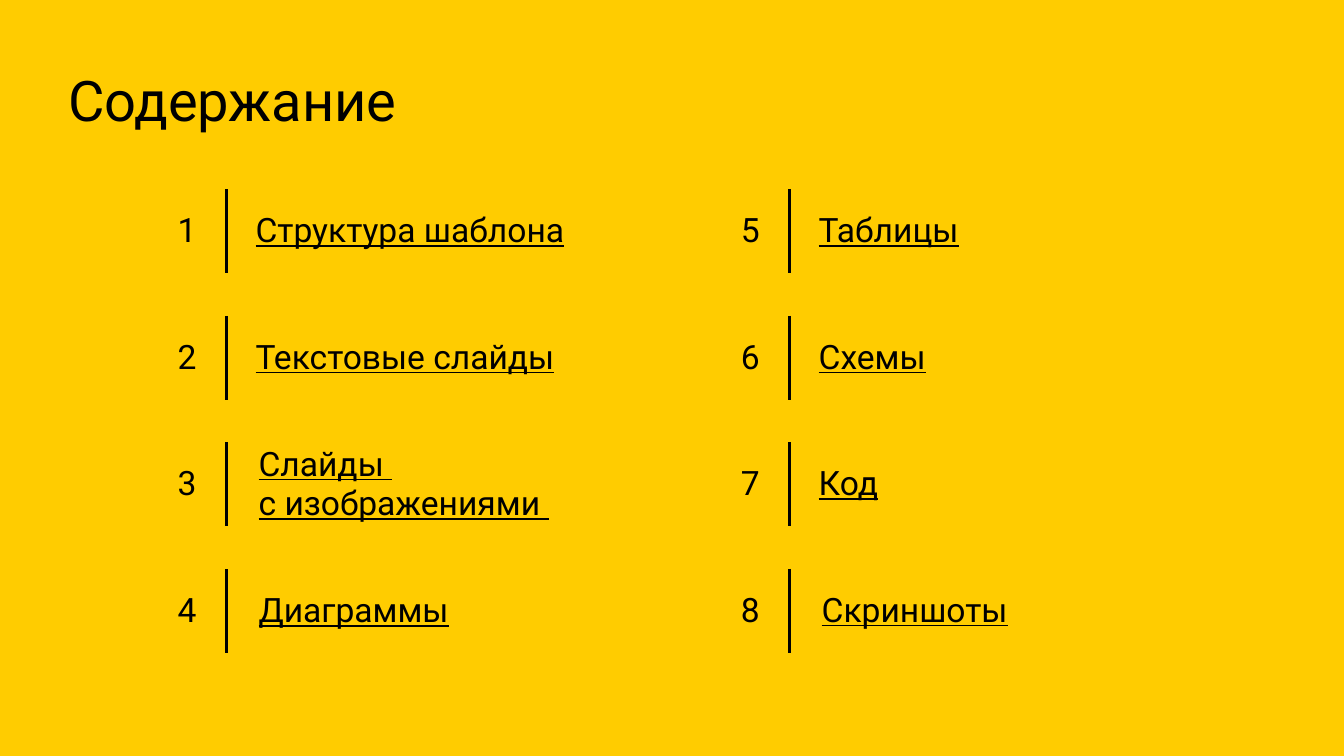
from pptx import Presentation
from pptx.dml.color import RGBColor
from pptx.enum.shapes import MSO_SHAPE
from pptx.enum.text import MSO_ANCHOR, MSO_AUTO_SIZE, PP_ALIGN
from pptx.oxml import parse_xml
from pptx.oxml.ns import nsdecls, qn
from pptx.util import Inches, Pt

COLORS = {"background": "FFCC00", "text": "000000"}
NO_STYLE_NO_GRID = "{2D5ABB26-0587-4C30-8999-92F81FD0307C}"
ENTRY_HEIGHT, GAP_HEIGHT, LAST_GAP_HEIGHT = 1.66, 0.85, 0.4
COLUMN_WIDTHS = (2.01, 7.95)
TABLE_TOP = 3.76

CONTENTS = [
    (2.48, 1, [
        (["Структура шаблона"], 0.44),
        (["Текстовые слайды"], 0.44),
        (["Слайды ", "с изображениями "], 0.5),
        (["Диаграммы"], 0.5),
    ]),
    (13.65, 5, [
        (["Таблицы"], 0.44),
        (["Схемы"], 0.44),
        (["Код"], 0.44),
        (["Скриншоты"], 0.5),
    ]),
]


class ContentsSlide:
    font_name = "Roboto"
    title_size = 80
    entry_size = 48
    rule_width = 4.5

    def __init__(self, presentation):
        self.presentation = presentation
        self.slide = presentation.slides.add_slide(presentation.slide_layouts[5])

    def color(self, name):
        return RGBColor.from_string(COLORS[name])

    def add_run(self, paragraph, text, size, underline=False):
        run = paragraph.add_run()
        run.text = text
        run.font.name = self.font_name
        run.font.size = Pt(size)
        run.font.underline = underline
        run.font.color.rgb = self.color("text")

    def add_background(self):
        shape = self.slide.shapes.add_shape(
            MSO_SHAPE.RECTANGLE, 0, 0,
            self.presentation.slide_width, self.presentation.slide_height)
        shape.shadow.inherit = False
        shape.fill.solid()
        shape.fill.fore_color.rgb = self.color("background")
        shape.line.fill.background()
        self.slide.shapes.title.element.addprevious(shape.element)

    def add_title(self, text):
        title = self.slide.shapes.title
        title.left, title.top = Inches(1.25), Inches(0.83)
        title.width, title.height = Inches(24.2), Inches(1.65)
        frame = title.text_frame
        frame.auto_size = MSO_AUTO_SIZE.NONE
        frame.vertical_anchor = MSO_ANCHOR.MIDDLE
        paragraph = frame.paragraphs[0]
        paragraph.alignment = PP_ALIGN.LEFT
        paragraph.line_spacing = Pt(140)
        self.add_run(paragraph, text, self.title_size)

    def add_rule(self, cell, side):
        border = parse_xml(
            f'<a:{side} {nsdecls("a")} w="{Pt(self.rule_width)}"><a:solidFill>'
            f'<a:srgbClr val="{COLORS["text"]}"/></a:solidFill></a:{side}>')
        cell._tc.get_or_add_tcPr().insert(0, border)

    def format_cell(self, cell, right_margin, side):
        cell.vertical_anchor = MSO_ANCHOR.MIDDLE
        cell.margin_left, cell.margin_right = Inches(0.14), Inches(right_margin)
        cell.margin_top = cell.margin_bottom = Inches(0.05)
        self.add_rule(cell, side)
        return cell.text_frame.paragraphs[0]

    def add_entry(self, number_cell, name_cell, number, lines, indent):
        paragraph = self.format_cell(number_cell, 0.59, "lnR")
        paragraph.alignment = PP_ALIGN.RIGHT
        self.add_run(paragraph, str(number), self.entry_size)

        paragraph = self.format_cell(name_cell, 0.14, "lnL")
        properties = paragraph._p.get_or_add_pPr()
        properties.set("marL", str(Inches(indent)))
        properties.set("indent", "0")
        for index, line in enumerate(lines):
            if index:
                paragraph.add_line_break()
            self.add_run(paragraph, line, self.entry_size, underline=True)

    def add_contents(self, left, first_number, entries):
        heights = [ENTRY_HEIGHT, GAP_HEIGHT] * len(entries)
        heights[-1] = LAST_GAP_HEIGHT
        frame = self.slide.shapes.add_table(
            len(heights), len(COLUMN_WIDTHS), Inches(left), Inches(TABLE_TOP),
            Inches(sum(COLUMN_WIDTHS)), Inches(sum(heights)))
        table = frame.table
        table.first_row = table.horz_banding = False
        table._tbl.tblPr.find(qn("a:tableStyleId")).text = NO_STYLE_NO_GRID
        for column, width in zip(table.columns, COLUMN_WIDTHS):
            column.width = Inches(width)
        for row, height in zip(table.rows, heights):
            row.height = Inches(height)
        for cell in table.iter_cells():
            cell.fill.background()
        for index, (lines, indent) in enumerate(entries):
            number_cell, name_cell = table.rows[2 * index].cells
            self.add_entry(number_cell, name_cell, first_number + index, lines, indent)


def main():
    presentation = Presentation()
    presentation.slide_width = Inches(26.66)
    presentation.slide_height = Inches(15)
    contents_slide = ContentsSlide(presentation)
    contents_slide.add_background()
    contents_slide.add_title("Содержание")
    for left, first_number, entries in CONTENTS:
        contents_slide.add_contents(left, first_number, entries)
    presentation.save("out.pptx")


if __name__ == "__main__":
    main()
